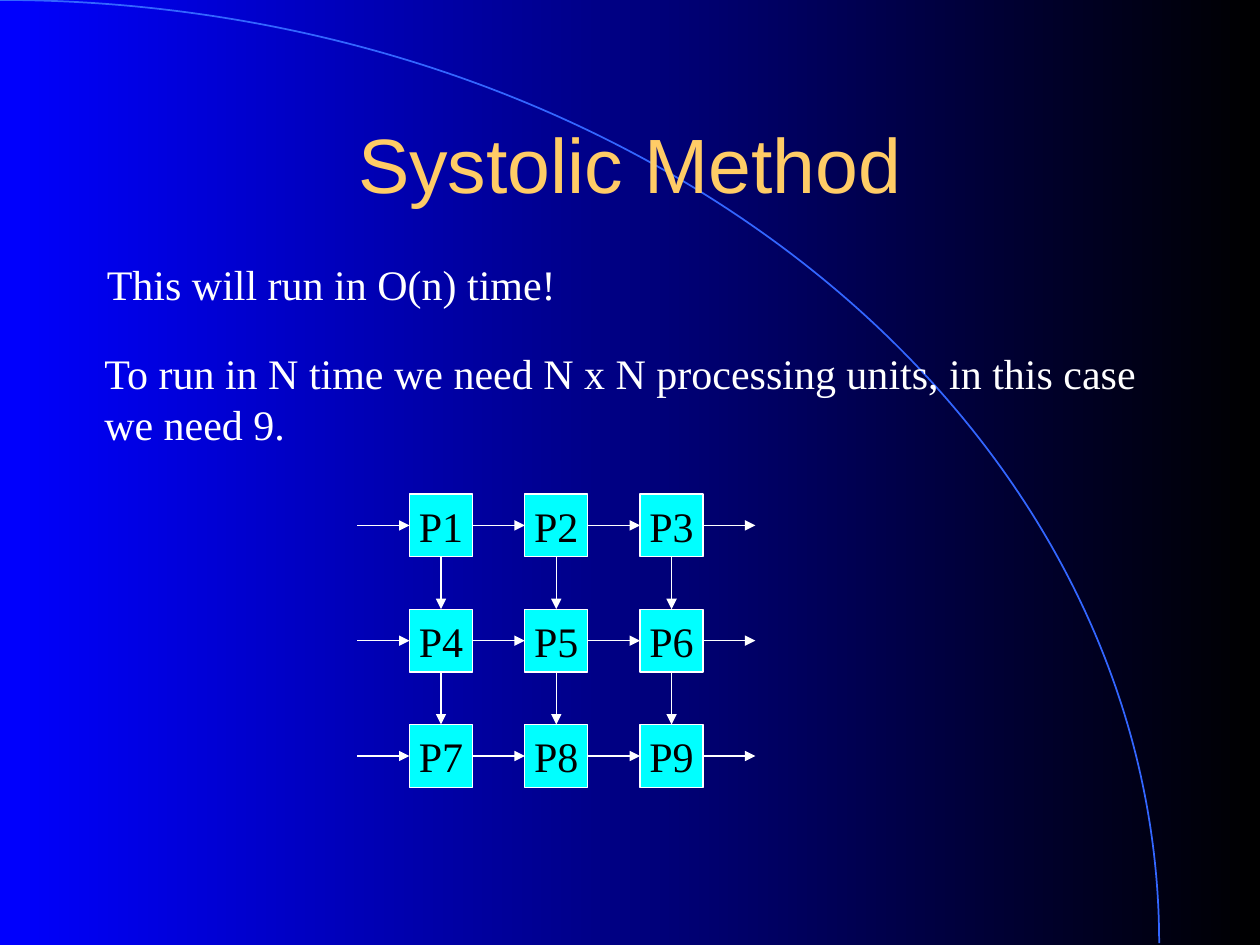
from lxml.etree import SubElement
from pptx import Presentation
from pptx.dml.color import RGBColor
from pptx.enum.shapes import MSO_CONNECTOR as Connector, MSO_SHAPE as Shape
from pptx.enum.text import MSO_ANCHOR as Anchor, MSO_AUTO_SIZE as AutoSize, PP_ALIGN as Align
from pptx.oxml.ns import qn
from pptx.util import Inches, Pt

WHITE = "FFFFFF"
GRID_SIZE = 3
TOP, LEFT, BOTTOM, RIGHT = range(4)


def color(hex_value):
    """Turn a hex string into a colour."""
    return RGBColor.from_string(hex_value)


def write_text(text_frame, text, size, font, hex_value, align):
    """Fill a text frame and format all its runs alike."""
    text_frame.text = text
    for paragraph in text_frame.paragraphs:
        paragraph.alignment = align
        for run in paragraph.runs:
            run.font.name = font
            run.font.size = Pt(size)
            run.font.color.rgb = color(hex_value)


def set_background(slide):
    """Fade the background from black at the right to blue at the left."""
    fill = slide.background.fill
    fill.gradient()
    fill.gradient_angle = 180
    for stop, hex_value in zip(fill.gradient_stops, ("000000", "0000FF")):
        stop.color.rgb = color(hex_value)


def add_arc(slide, left, top, width, height):
    """Draw the decorative arc behind the slide's content."""
    arc = slide.shapes.add_shape(Shape.ARC, left, top, width, height)
    arc.shadow.inherit = False
    arc.fill.background()
    arc.line.color.rgb = color("3366FF")
    arc.line.width = Pt(1)
    slide.shapes.title._element.addprevious(arc._element)


def place_title(slide, left, top, width, height):
    """Move the title placeholder and write the title."""
    title = slide.shapes.title
    title.left, title.top, title.width, title.height = left, top, width, height
    title.text_frame.vertical_anchor = Anchor.MIDDLE
    write_text(title.text_frame, "Systolic Method", 44, "Arial", "FFCC66", Align.CENTER)


def add_statement(slide, text, left, top, width, height):
    """Add a white text box with one paragraph a line."""
    text_frame = slide.shapes.add_textbox(left, top, width, height).text_frame
    text_frame.word_wrap = True
    text_frame.auto_size = AutoSize.SHAPE_TO_FIT_TEXT
    write_text(text_frame, text, 24, "Times New Roman", WHITE, Align.LEFT)


def add_processor(slide, name, left, top, side):
    """Add one square processing unit."""
    processor = slide.shapes.add_shape(Shape.RECTANGLE, left, top, side, side)
    processor.shadow.inherit = False
    processor.fill.solid()
    processor.fill.fore_color.rgb = color("00FFFF")
    processor.line.color.rgb = color(WHITE)
    processor.line.width = Pt(0.75)
    processor.text_frame.word_wrap = False
    processor.text_frame.vertical_anchor = Anchor.MIDDLE
    write_text(processor.text_frame, name, 24, "Times New Roman", "000000", Align.CENTER)
    return processor


def add_arrow(slide, start_x, start_y, end_x, end_y):
    """Add a thin white arrow."""
    arrow = slide.shapes.add_connector(Connector.STRAIGHT, start_x, start_y, end_x, end_y)
    arrow.line.color.rgb = color(WHITE)
    arrow.line.width = Pt(0.75)
    SubElement(arrow.line._get_or_add_ln(), qn("a:tailEnd"), type="triangle")
    SubElement(arrow._element.spPr, qn("a:effectLst"))
    return arrow


def add_processor_grid(slide, left, top, size, side):
    """Lay out the processors in a square box and link them with arrows."""
    pitch = (size - side) // (GRID_SIZE - 1)
    gap = pitch - side
    grid = [
        [
            add_processor(slide, f"P{row * GRID_SIZE + column + 1}",
                          left + column * pitch, top + row * pitch, side)
            for column in range(GRID_SIZE)
        ]
        for row in range(GRID_SIZE)
    ]
    for processors in grid:
        middle = processors[0].top + side // 2
        for source, target in zip([None, *processors], [*processors, None]):
            start = source.left + side if source else left - gap
            arrow = add_arrow(slide, start, middle, start + gap, middle)
            if source:
                arrow.begin_connect(source, RIGHT)
            if target:
                arrow.end_connect(target, LEFT)
    for upper_row, lower_row in zip(grid, grid[1:]):
        for upper, lower in zip(upper_row, lower_row):
            center = upper.left + side // 2
            arrow = add_arrow(slide, center, upper.top + side, center, lower.top)
            arrow.begin_connect(upper, BOTTOM)
            arrow.end_connect(lower, TOP)


def main():
    """Build the slide and save it."""
    presentation = Presentation()
    presentation.slide_width, presentation.slide_height = Inches(10), Inches(7.5)
    slide = presentation.slides.add_slide(presentation.slide_layouts[5])
    set_background(slide)
    add_arc(slide, Inches(-9.2), Inches(0), Inches(18.4), Inches(14.97))
    place_title(slide, Inches(0.75), Inches(0.67), Inches(8.5), Inches(1.25))
    add_statement(slide, "This will run in O(n) time!",
                  Inches(0.75), Inches(2), Inches(3.9), Inches(0.5))
    add_statement(slide, "To run in N time we need N x N processing units, in this case\nwe need 9.",
                  Inches(0.73), Inches(2.71), Inches(8.5), Inches(0.9))
    add_processor_grid(slide, Inches(3.25), Inches(3.92), Inches(2.33), Inches(0.5))
    presentation.save("out.pptx")


if __name__ == "__main__":
    main()
